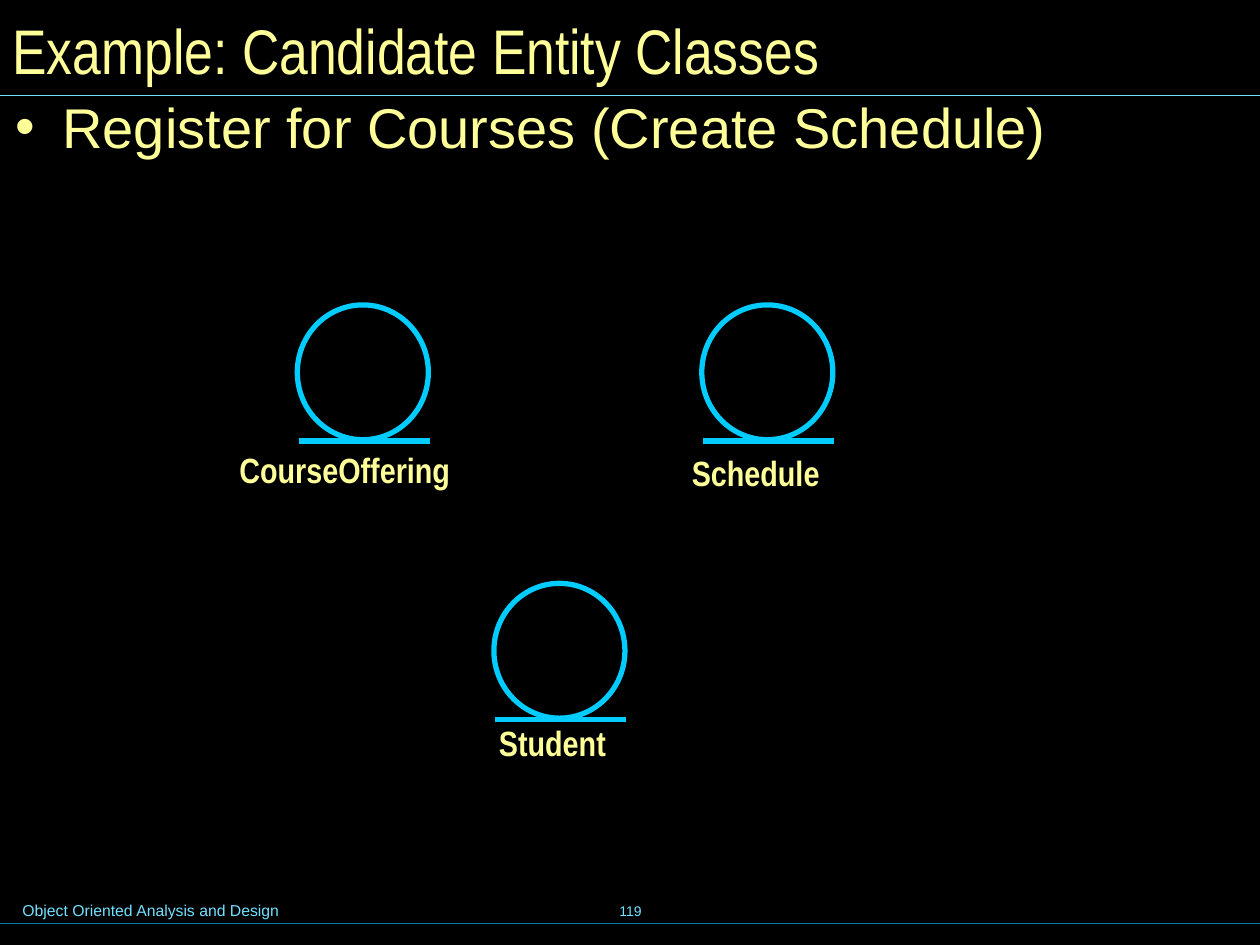
from lxml.etree import SubElement
from pptx import Presentation
from pptx.dml.color import RGBColor
from pptx.enum.shapes import MSO_CONNECTOR, MSO_SHAPE
from pptx.enum.text import MSO_ANCHOR, MSO_AUTO_SIZE, PP_ALIGN
from pptx.oxml.ns import qn
from pptx.util import Inches, Pt

BLACK = RGBColor(0x00, 0x00, 0x00)
YELLOW = RGBColor(0xFF, 0xFF, 0x99)
PALE_BLUE = RGBColor(0x73, 0xE1, 0xFF)
DARK_BLUE = RGBColor(0x00, 0x7E, 0x9F)
SKY_BLUE = RGBColor(0x00, 0xCC, 0xFF)

ENTITIES = [
    ("Student", 3.92, 4.63, 3.96, 5.73, 0.85),
    ("Schedule", 5.57, 2.42, 5.49, 3.58, 1.02),
    ("CourseOffering", 2.36, 2.42, 1.9, 3.56, 1.67),
]


class SlideBuilder:
    """Holds the slide and its style, and adds each kind of element."""

    def __init__(self, page):
        self.page = page
        self.narrow = "Arial Narrow"
        self.plain = "Arial"
        page.background.fill.solid()
        page.background.fill.fore_color.rgb = BLACK

    def set_text(self, shape, text, font, size, color, bold=False,
                 align=PP_ALIGN.LEFT, margins=(0.1, 0.05), wrap=True):
        frame = shape.text_frame
        frame.auto_size = MSO_AUTO_SIZE.NONE
        frame.word_wrap = wrap
        frame.margin_left = frame.margin_right = Inches(margins[0])
        frame.margin_top = frame.margin_bottom = Inches(margins[1])
        frame.text = text
        paragraph = frame.paragraphs[0]
        paragraph.alignment = align
        paragraph.space_before = Pt(0)
        paragraph.font.name = font
        paragraph.font.size = Pt(size)
        paragraph.font.bold = bold
        paragraph.font.color.rgb = color
        return frame

    def place(self, shape, left, top, width, height):
        shape.left, shape.top = Inches(left), Inches(top)
        shape.width, shape.height = Inches(width), Inches(height)

    def title(self, text):
        shape = self.page.shapes.title
        self.place(shape, 0, 0, 9.84, 0.78)
        frame = self.set_text(shape, text, self.narrow, 36, YELLOW)
        frame.vertical_anchor = MSO_ANCHOR.MIDDLE

    def body(self, text):
        shape = self.page.placeholders[1]
        self.place(shape, 0, 0.78, 9.28, 5.52)
        properties = shape.text_frame.paragraphs[0]._p.get_or_add_pPr()
        properties.set("marL", str(Inches(0.37)))
        properties.set("indent", str(Inches(-0.37)))
        bullet_color = SubElement(properties, qn("a:buClr"))
        SubElement(bullet_color, qn("a:srgbClr"), val=str(YELLOW))
        SubElement(properties, qn("a:buChar"), char="⬥")
        frame = self.set_text(shape, text, self.plain, 32, YELLOW, margins=(0.12, 0.06))
        frame.paragraphs[0].line_spacing = 0.8

    def text(self, bounds, text, font, size, color, **style):
        box = self.page.shapes.add_textbox(*map(Inches, bounds))
        return self.set_text(box, text, font, size, color, **style)

    def rule(self, left, right, y, color, width=0.75):
        line = self.page.shapes.add_connector(
            MSO_CONNECTOR.STRAIGHT, Inches(left), Inches(y), Inches(right), Inches(y))
        line.line.color.rgb = color
        line.line.width = Pt(width)
        SubElement(line._element.spPr, qn("a:effectLst"))

    def entity(self, name, left, top, label_left, label_top, label_width):
        self.text((label_left, label_top, label_width, 0.33), name, self.narrow,
                  20, YELLOW, bold=True, margins=(0, 0), wrap=False)
        circle = self.page.shapes.add_shape(
            MSO_SHAPE.OVAL, Inches(left), Inches(top), Inches(1.04), Inches(1.07))
        circle.shadow.inherit = False
        circle.fill.background()
        circle.line.color.rgb = SKY_BLUE
        circle.line.width = Pt(3)
        self.rule(left + 0.01, left + 1.05, top + 1.08, SKY_BLUE, 3)

    def footer(self, text, number):
        self.text((0.08, 7.1, 5.1, 0.25), text, self.plain, 9, PALE_BLUE)
        frame = self.text((3.42, 6.98, 3.17, 0.5), number, self.plain, 8, PALE_BLUE,
                          align=PP_ALIGN.CENTER, wrap=False)
        frame.vertical_anchor = MSO_ANCHOR.MIDDLE
        self.rule(0, 10, 7.33, DARK_BLUE)


def main():
    deck = Presentation()
    deck.slide_width, deck.slide_height = Inches(10), Inches(7.5)
    builder = SlideBuilder(deck.slides.add_slide(deck.slide_layouts[1]))
    builder.footer("Object Oriented Analysis and Design", "119")
    builder.rule(0, 10, 0.76, PALE_BLUE)
    builder.title("Example: Candidate Entity Classes")
    builder.body("Register for Courses (Create Schedule)")
    for entity in ENTITIES:
        builder.entity(*entity)
    deck.save("out.pptx")


if __name__ == "__main__":
    main()
